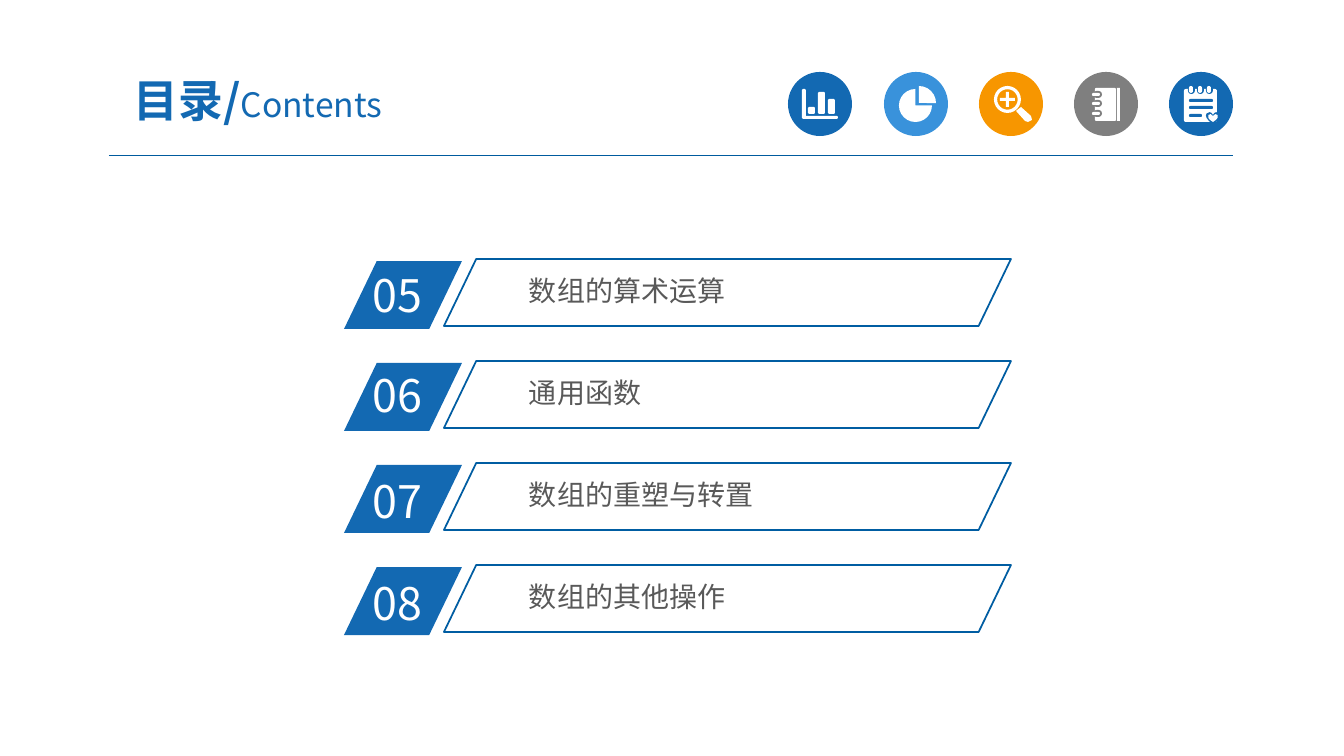
from lxml.etree import SubElement
from pptx import Presentation
from pptx.dml.color import RGBColor as Color
from pptx.enum.shapes import MSO_CONNECTOR as Connector, MSO_SHAPE as Kind
from pptx.enum.text import MSO_ANCHOR as Anchor, MSO_AUTO_SIZE as AutoSize, PP_ALIGN as Align
from pptx.oxml.ns import qn
from pptx.util import Pt

PX = 9071.43
FONT = "Noto Sans CJK SC"
COLOURS = {
    "blue": "1369B2", "sky": "3992DB", "orange": "F79600", "grey": "7F7F7F",
    "white": "FFFFFF", "rule": "005B9E", "outline": "005DA2", "label": "595959",
}
ICON_TOP, ICON_SIZE = 72, 64
ROW_STEP = 102
SLANT = 0.482
ROWS = [
    ("05", "数组的算术运算", 263),
    ("06", "通用函数", 363),
    ("07", "数组的重塑与转置", 469),
    ("08", "数组的其他操作", 571),
]
HANDLE = [(42, 35), (52, 44), (53, 48), (49, 50), (46, 49), (37, 39)]
AXES = [
    (14, 18), (15, 17), (17, 17), (18, 18), (18, 44), (49, 44),
    (50, 45), (50, 46), (49, 47), (15, 47), (14, 46),
]


def px(value):
    return round(value * PX)


def colour(name):
    return Color.from_string(COLOURS[name])


def apply(target, values):
    for name, value in values.items():
        setattr(target, name, value)


def paint(shape, fill=None, line=None):
    shape.shadow.inherit = False
    if fill:
        shape.fill.solid()
        shape.fill.fore_color.rgb = colour(fill)
    else:
        shape.fill.background()
    if line:
        shape.line.color.rgb = colour(line)
        shape.line.width = Pt(1.25)
    else:
        shape.line.fill.background()


def add_preset(page, kind, bounds, fill=None, line=None, adjust=()):
    shape = page.shapes.add_shape(kind, *map(px, bounds))
    for index, value in enumerate(adjust):
        shape.adjustments[index] = value
    paint(shape, fill, line)


def add_outline(page, left, top, contours, fill):
    moved = [[(left + x, top + y) for x, y in contour] for contour in contours]
    builder = page.shapes.build_freeform(*moved[0][0], scale=PX)
    for index, contour in enumerate(moved):
        if index:
            builder.move_to(*contour[0])
        builder.add_line_segments(contour[1:], close=True)
    paint(builder.convert_to_shape(), fill)


def add_rule(page, left, right, top):
    rule = page.shapes.add_connector(Connector.STRAIGHT, px(left), px(top), px(right), px(top))
    rule.line.color.rgb = colour("rule")
    rule.line.width = Pt(0.75)
    SubElement(rule._element.spPr, qn("a:effectLst"))


def add_text(page, bounds, spans, ink, frame_values, align=Align.LEFT):
    box = page.shapes.add_textbox(*map(px, bounds))
    apply(box.text_frame, {"word_wrap": True, **frame_values})
    para = box.text_frame.paragraphs[0]
    para.alignment = align
    for text, size, bold in spans:
        span = para.add_run()
        span.text = text
        apply(span.font, {"name": FONT, "size": Pt(size), "bold": bold})
        span.font.color.rgb = colour(ink)
        SubElement(span._r.rPr, qn("a:ea"), typeface=FONT)


def insets(across, down):
    return {
        "margin_left": px(across), "margin_right": px(across),
        "margin_top": px(down), "margin_bottom": px(down),
    }


def bar(left, top, width, height):
    right, bottom = left + width, top + height
    return [
        (left + 1, top), (right - 1, top), (right, top + 1), (right, bottom - 1),
        (right - 1, bottom), (left + 1, bottom), (left, bottom - 1), (left, top + 1),
    ]


def pie_parts(back):
    return [
        (Kind.PIE, (15, 17, 33, 33), "white", (0, 162)),
        (Kind.PIE, (18, 14, 34, 34), "white", (162, 0)),
    ]


def magnifier_parts(back):
    return [
        (Kind.DONUT, (15, 14, 27, 27), "white", (0.12,)),
        (Kind.CROSS, (21, 20, 15, 15), "white", (0.4,)),
    ]


def notebook_parts(back):
    parts = [
        (Kind.ROUNDED_RECTANGLE, (21, 16, 21, 33), "white", (0.06,)),
        (Kind.RECTANGLE, (43, 16, 3, 33), "white", ()),
    ]
    for top in (19, 28, 38):
        parts += [
            (Kind.ROUNDED_RECTANGLE, (19, top, 9, 7), back, (0.5,)),
            (Kind.ROUNDED_RECTANGLE, (18, top + 2, 8, 3), "white", (0.5,)),
        ]
    return parts


def notepad_parts(back):
    parts = [(Kind.ROUNDED_RECTANGLE, (15, 17, 33, 33), "white", (0.06,))]
    for left in (19, 28, 37):
        parts += [
            (Kind.ROUNDED_RECTANGLE, (left, 14, 7, 8), back, (0.5,)),
            (Kind.ROUNDED_RECTANGLE, (left + 1, 14, 4, 7), "white", (0.5,)),
        ]
    for top, width in ((27, 24), (34, 24), (42, 13)):
        parts.append((Kind.ROUNDED_RECTANGLE, (20, top, width, 3), back, (0.5,)))
    parts += [
        (Kind.HEART, (37, 40, 14, 12), back, ()),
        (Kind.HEART, (39, 42, 10, 8), "white", ()),
    ]
    return parts


def add_icon(page, left, back, parts, contours):
    add_preset(page, Kind.OVAL, (left, ICON_TOP, ICON_SIZE, ICON_SIZE), back)
    for kind, (x, y, width, height), fill, adjust in parts(back) if parts else ():
        add_preset(page, kind, (left + x, ICON_TOP + y, width, height), fill, adjust=adjust)
    if contours:
        add_outline(page, left, ICON_TOP, contours, "white")


def add_row(page, index, number, label, number_top):
    shift = index * ROW_STEP
    grow = {"auto_size": AutoSize.SHAPE_TO_FIT_TEXT}
    add_preset(page, Kind.PARALLELOGRAM, (344, 261 + shift, 118, 68), "blue", adjust=(SLANT,))
    add_text(page, (363, number_top, 113, 64), [(number, 32, False)], "white", {**grow, **insets(10, 5)})
    add_text(page, (522, 269 + shift, 415, 41), [(label, 20, False)], "label", {**grow, **insets(7, 4)})
    add_preset(page, Kind.PARALLELOGRAM, (444, 259 + shift, 567, 67), line="outline", adjust=(SLANT,))


def main():
    deck = Presentation()
    apply(deck, {"slide_width": px(1344), "slide_height": px(756)})
    page = deck.slides.add_slide(deck.slide_layouts[6])
    add_rule(page, 109, 1233, 156)
    bars = [bar(20, 35, 7, 7), bar(30, 20, 7, 22), bar(40, 27, 7, 15)]
    icons = [
        ("blue", None, [AXES, *bars]), ("sky", pie_parts, None),
        ("orange", magnifier_parts, [HANDLE]), ("grey", notebook_parts, None),
        ("blue", notepad_parts, None),
    ]
    for index, icon in enumerate(icons):
        add_icon(page, 788 + (index * 381 + 3) // 4, *icon)
    add_text(
        page, (92, 63, 332, 73), [("目录/", 32, True), ("Contents", 24, False)], "blue",
        {"vertical_anchor": Anchor.MIDDLE, **insets(13, 7)}, Align.CENTER,
    )
    for index, row in enumerate(ROWS):
        add_row(page, index, *row)
    deck.save("out.pptx")


if __name__ == "__main__":
    main()
